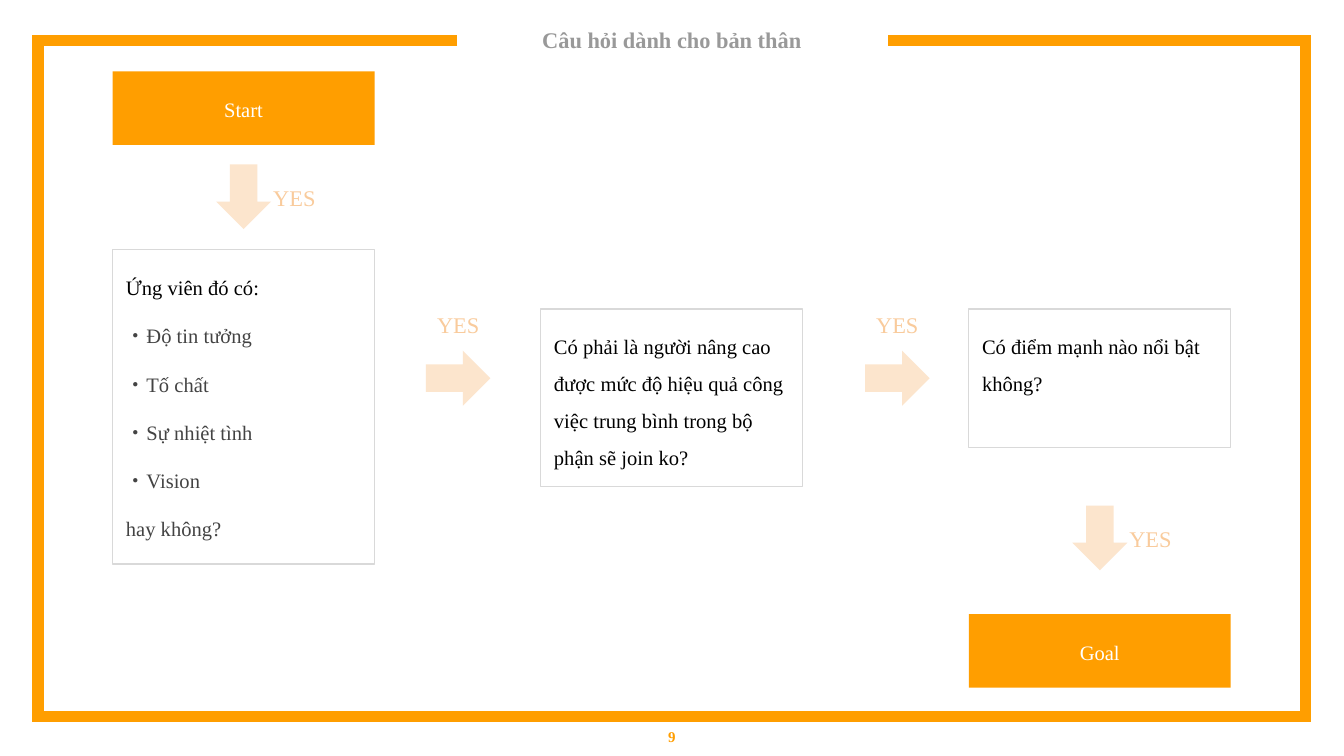
from lxml.etree import SubElement
from pptx import Presentation
from pptx.dml.color import RGBColor
from pptx.enum.shapes import MSO_SHAPE as Shape
from pptx.enum.text import MSO_ANCHOR as Anchor, MSO_AUTO_SIZE as AutoSize, PP_ALIGN as Align
from pptx.oxml.ns import qn
from pptx.util import Cm, Pt

COLOURS = {
    "orange": "FF9E00", "peach": "FCE5CD", "label": "F9CB9C", "border": "D9D9D9",
    "title": "999999", "black": "000000", "dark": "434343", "white": "FFFFFF",
}
FONT = "Times New Roman"

# All lengths below are in centimetres.
SLIDE_W, SLIDE_H = 25.4, 14.29
FRAME = [(8.64, 0.76), (0.72, 0.76), (0.72, 13.54),
         (24.68, 13.54), (24.68, 0.76), (16.79, 0.76)]
FIRST_COLUMN, COLUMN_STEP, BOX_W = 2.13, 8.09, 4.95
ARROW_W, ARROW_H = 1.22, 1.04
LABEL_W, LABEL_H = 1.96, 0.99

TITLE = "Câu hỏi dành cho bản thân"
PAGE_NUMBER = "9"

# column, top, height, lines
QUESTIONS = [
    (0, 4.72, 5.94, ["Ứng viên đó có:", "・Độ tin tưởng", "・Tố chất",
                     "・Sự nhiệt tình", "・Vision", "hay không?"]),
    (1, 5.84, 3.36, ["Có phải là người nâng cao được mức độ hiệu quả công việc "
                     "trung bình trong bộ phận sẽ join ko?"]),
    (2, 5.84, 2.62, ["Có điểm mạnh nào nổi bật không?"]),
]
# column, top, text
TERMINALS = [(0, 1.35, "Start"), (2, 11.61, "Goal")]
TERMINAL_H = 1.39
# column, centre height
DOWN_ARROWS = [(0, 3.72), (2, 10.17)]
RIGHT_ARROW_CENTRES = [8.66, 16.96]
RIGHT_ARROW_Y, RIGHT_LABEL_TOP = 7.15, 5.64
ANSWER = "YES"

BODY = {"size": Pt(11), "name": FONT, "bold": False}
LABEL = {"size": Pt(12), "name": FONT, "bold": False}
HEADING = {"size": Pt(12), "name": FONT, "bold": True}
NUMBER = {"size": Pt(8), "name": FONT, "bold": True}
FLOW_SPACING = {"line_spacing": 1.5, "space_before": Pt(6)}


def rgb(colour):
    return RGBColor.from_string(COLOURS[colour])


def set_all(target, values):
    for name, value in values.items():
        setattr(target, name, value)


def column_left(column):
    return FIRST_COLUMN + column * COLUMN_STEP


def write(shape, lines, font, align=Align.LEFT, anchor=Anchor.TOP, spacing=None):
    """Fill a shape with paragraphs given as (text, colour) pairs."""
    frame = shape.text_frame
    set_all(frame, {"word_wrap": True, "auto_size": AutoSize.NONE, "vertical_anchor": anchor})
    set_all(frame, {f"margin_{side}": Cm(0.25) for side in ("left", "top", "right", "bottom")})
    for index, (text, colour) in enumerate(lines):
        paragraph = frame.add_paragraph() if index else frame.paragraphs[0]
        set_all(paragraph, {"alignment": align, **(spacing or {})})
        run = paragraph.add_run()
        run.text = text
        set_all(run.font, font)
        run.font.color.rgb = rgb(colour)


def add_shape(slide, preset, box, fill=None, border=None):
    shape = slide.shapes.add_shape(preset, *map(Cm, box))
    shape.shadow.inherit = False
    if fill:
        shape.fill.solid()
        shape.fill.fore_color.rgb = rgb(fill)
    else:
        shape.fill.background()
    if border:
        shape.line.color.rgb = rgb(border)
        shape.line.width = Pt(0.75)
    else:
        shape.line.fill.background()
    return shape


def add_text(slide, box, text, colour, font, **layout):
    write(slide.shapes.add_textbox(*map(Cm, box)), [(text, colour)], font, **layout)


def add_frame(slide):
    points = [(Cm(x), Cm(y)) for x, y in FRAME]
    builder = slide.shapes.build_freeform(*points[0])
    builder.add_line_segments(points[1:], close=False)
    frame = builder.convert_to_shape()
    frame.shadow.inherit = False
    frame.fill.background()
    frame.line.color.rgb = rgb("orange")
    frame.line.width = Pt(6)
    outline = frame.line._get_or_add_ln()
    SubElement(outline, qn("a:miter"), lim="800000")


def add_arrow(slide, centre_x, centre_y, rotation=0):
    box = (centre_x - ARROW_W / 2, centre_y - ARROW_H / 2, ARROW_W, ARROW_H)
    add_shape(slide, Shape.RIGHT_ARROW, box, fill="peach").rotation = rotation


def main():
    deck = Presentation()
    deck.slide_width, deck.slide_height = Cm(SLIDE_W), Cm(SLIDE_H)
    slide = deck.slides.add_slide(deck.slide_layouts[5])

    add_frame(slide)
    title = slide.shapes.title
    set_all(title, {"left": Cm(9.01), "top": Cm(0.25), "width": Cm(7.38), "height": Cm(2.03)})
    write(title, [(TITLE, "title")], HEADING, Align.CENTER)
    add_text(slide, (0, 13.54, SLIDE_W, 0.75), PAGE_NUMBER, "orange", NUMBER,
             align=Align.CENTER, anchor=Anchor.MIDDLE)

    for column, top, height, (question, *details) in QUESTIONS:
        box = (column_left(column), top, BOX_W, height)
        lines = [(question, "black")] + [(detail, "dark") for detail in details]
        write(add_shape(slide, Shape.RECTANGLE, box, border="border"),
              lines, BODY, spacing=FLOW_SPACING)

    for column, top, text in TERMINALS:
        box = (column_left(column), top, BOX_W, TERMINAL_H)
        write(add_shape(slide, Shape.RECTANGLE, box, fill="orange"),
              [(text, "white")], BODY, Align.CENTER, spacing=FLOW_SPACING)

    for column, centre_y in DOWN_ARROWS:
        centre_x = column_left(column) + BOX_W / 2
        add_arrow(slide, centre_x, centre_y, rotation=90)
        add_text(slide, (centre_x + 0.31, centre_y - LABEL_H / 2, LABEL_W, LABEL_H),
                 ANSWER, "label", LABEL)

    for centre_x in RIGHT_ARROW_CENTRES:
        add_arrow(slide, centre_x, RIGHT_ARROW_Y)
        add_text(slide, (centre_x - LABEL_W / 2, RIGHT_LABEL_TOP, LABEL_W, LABEL_H),
                 ANSWER, "label", LABEL, align=Align.CENTER)

    deck.save("out.pptx")


if __name__ == "__main__":
    main()
